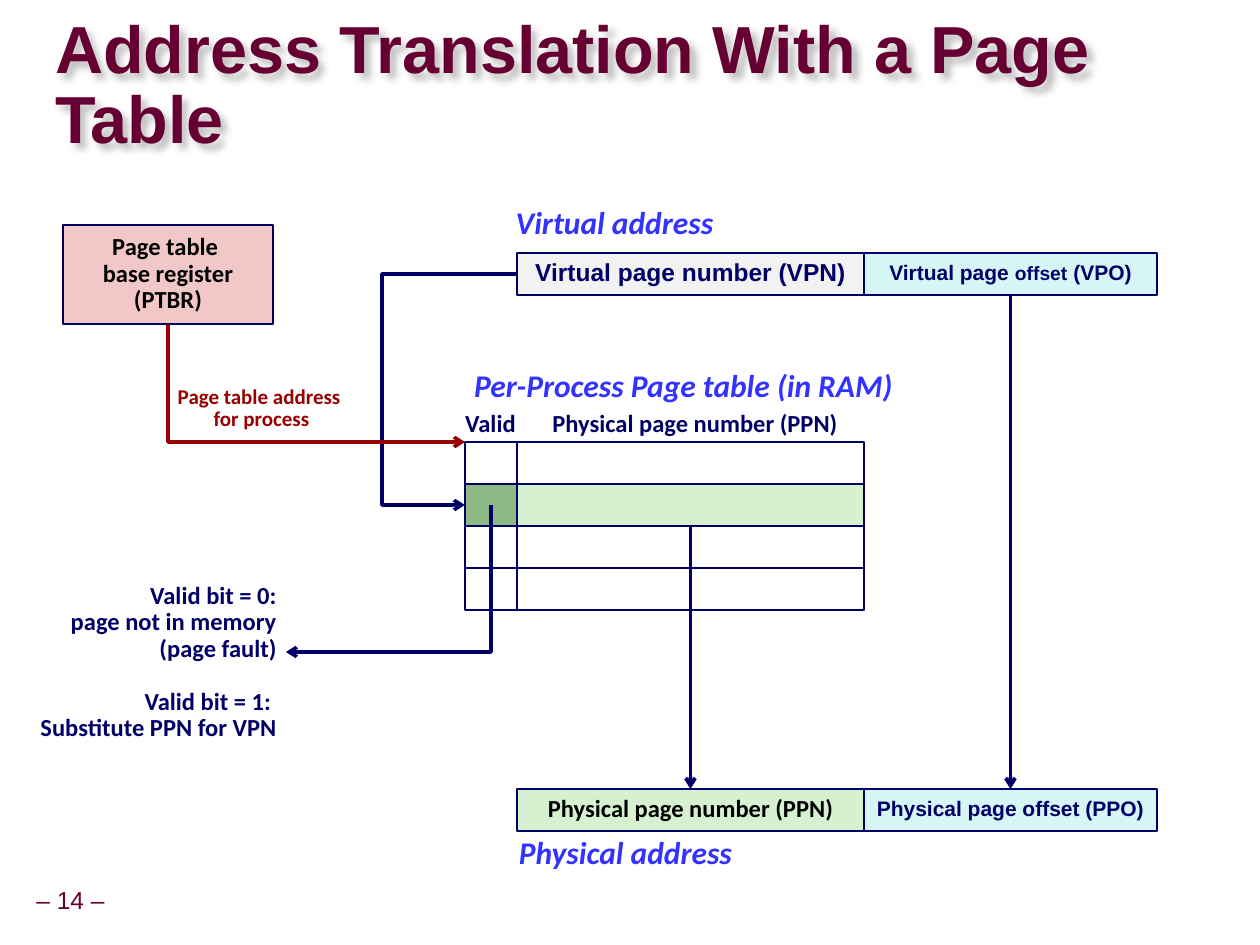
import itertools

import lxml.etree
import pptx
import pptx.dml.color
import pptx.enum.shapes
import pptx.enum.text
import pptx.oxml
import pptx.oxml.ns
import pptx.util

RGB = pptx.dml.color.RGBColor
NAVY = RGB(0x00, 0x00, 0x66)
MAROON = RGB(0x66, 0x00, 0x33)
RED = RGB(0x99, 0x00, 0x00)
BLUE = RGB(0x33, 0x33, 0xFF)
BLACK = RGB(0x00, 0x00, 0x00)
GREY = RGB(0xF2, 0xF2, 0xF2)
CYAN = RGB(0xD6, 0xF5, 0xF5)
GREEN = RGB(0xD5, 0xF1, 0xCF)
DARK_GREEN = RGB(0x8D, 0xBA, 0x84)
PINK = RGB(0xF1, 0xC7, 0xC7)

ALIGN = pptx.enum.text.PP_ALIGN
ANCHOR = pptx.enum.text.MSO_ANCHOR
CONNECTOR = pptx.enum.shapes.MSO_CONNECTOR
qn = pptx.oxml.ns.qn

TOP, BOTTOM = 0, 2
ROW = 42
NUMBER_WIDTH = 347
LINE_BREAK = "\v"


def px(*lengths):
    return [round(length * 914400 / 126) for length in lengths]


def write(shape, text, sizes=(14,), font="Calibri", color=NAVY, bold=True, italic=False,
          align=ALIGN.CENTER, anchor=ANCHOR.TOP, spacing=0.9, wrap=True, inset=None):
    frame = shape.text_frame
    frame.word_wrap = wrap
    frame.vertical_anchor = anchor
    if inset is not None:
        frame.margin_left = frame.margin_right = pptx.util.Inches(inset)
        frame.margin_top = frame.margin_bottom = pptx.util.Inches(inset)
    for index, line in enumerate(text.split("\n")):
        paragraph = frame.add_paragraph() if index else frame.paragraphs[0]
        paragraph.alignment = align
        paragraph.line_spacing = spacing
        for piece, size in zip(line.split("|"), itertools.cycle(sizes)):
            if piece == LINE_BREAK:
                paragraph.add_line_break()
                continue
            run = paragraph.add_run()
            run.text = piece
            run.font.name = font
            run.font.size = pptx.util.Pt(size)
            run.font.bold = bold
            run.font.italic = italic
            run.font.color.rgb = color


def label(slide, left, top, width, height, text, **text_format):
    box = slide.shapes.add_textbox(*px(left, top, width, height))
    write(box, text, **text_format)
    return box


def heading(slide, left, top, width, height, text):
    label(slide, left, top, width, height, text, sizes=(18,), color=BLUE,
          italic=True, wrap=False)


def cell(slide, left, top, width, height, fill=None, text=None, **text_format):
    rect = slide.shapes.add_shape(pptx.enum.shapes.MSO_SHAPE.RECTANGLE,
                                  *px(left, top, width, height))
    rect.shadow.inherit = False
    if fill is None:
        rect.fill.background()
    else:
        rect.fill.solid()
        rect.fill.fore_color.rgb = fill
    rect.line.color.rgb = NAVY
    rect.line.width = pptx.util.Pt(1)
    if text:
        write(rect, text, anchor=ANCHOR.MIDDLE, **text_format)
    return rect


def arrow(slide, kind, start, end, color=NAVY):
    connector = slide.shapes.add_connector(kind, *px(*start, *end))
    connector.line.color.rgb = color
    connector.line.width = pptx.util.Pt(2)
    line = connector.line._get_or_add_ln()
    lxml.etree.SubElement(line, qn("a:tailEnd"), type="arrow")
    lxml.etree.SubElement(connector._element.spPr, qn("a:effectLst"))
    return connector


def elbow(slide, start, end, bend_x, color=NAVY):
    connector = arrow(slide, CONNECTOR.ELBOW, start, end, color)
    bend = round(100000 * (bend_x - start[0]) / (end[0] - start[0]))
    guides = connector._element.spPr.find(qn("a:prstGeom")).get_or_add_avLst()
    lxml.etree.SubElement(guides, qn("a:gd"), name="adj1", fmla=f"val {bend}")


def join_down(slide, upper, lower):
    connector = arrow(slide, CONNECTOR.STRAIGHT, (0, 0), (0, 0))
    connector.begin_connect(upper, BOTTOM)
    connector.end_connect(lower, TOP)


def title(slide, left, top, width, height):
    box = label(slide, left, top, width, height, "Address Translation With a Page Table",
                sizes=(38,), font="Arial", color=MAROON, align=ALIGN.LEFT,
                anchor=ANCHOR.MIDDLE, spacing=0.87, inset=0)
    box._element.spPr.append(pptx.oxml.parse_xml(
        f'<a:effectLst {pptx.oxml.ns.nsdecls("a")}>'
        '<a:outerShdw blurRad="50800" dist="50800" dir="2700000" algn="tl">'
        '<a:srgbClr val="C0C0C0"/></a:outerShdw></a:effectLst>'))


def address(slide, left, top, width, number, offset):
    number_cell = cell(slide, left, top, NUMBER_WIDTH, ROW, **number)
    offset_cell = cell(slide, left + NUMBER_WIDTH, top, width - NUMBER_WIDTH, ROW,
                       fill=CYAN, font="Arial", **offset)
    return number_cell, offset_cell


def page_table(slide, left, top, width, selected):
    valid_width = width - NUMBER_WIDTH
    heading(slide, left - 7, top - 78, 458, 48, "Per-Process Page table (in RAM) ")
    label(slide, left - 13, top - 37, 77, 43, "Valid", wrap=False)
    label(slide, left + 74, top - 37, 312, 43, "Physical page number (PPN)", wrap=False)
    numbers = []
    for row in range(4):
        row_top = top + row * ROW
        chosen = row == selected
        numbers.append(cell(slide, left + valid_width, row_top, NUMBER_WIDTH, ROW,
                            GREEN if chosen else None))
        cell(slide, left, row_top, valid_width, ROW, DARK_GREEN if chosen else None)
    return numbers[selected]


def base_register(slide, left, top, width, height, table_corner):
    cell(slide, left, top, width, height, PINK,
         f"Page table |{LINE_BREAK}|base register\n(PTBR)", color=BLACK)
    middle = left + width // 2
    elbow(slide, (middle, top + height), table_corner, middle, RED)
    label(slide, left + 101, top + 155, 195, 63, "Page table address \nfor process",
          sizes=(12,), color=RED, wrap=False)


def valid_bit_note(slide, left, top, width, height, valid_cell):
    note = label(slide, left, top, width, height,
                 "Valid bit = 0:\npage not in memory\n(page fault)\n"
                 "Valid bit = 1: \nSubstitute PPN for VPN", align=ALIGN.RIGHT)
    note.text_frame.paragraphs[3].space_before = pptx.util.Pt(15)
    elbow(slide, valid_cell, (left + width - 3, top + 75), valid_cell[0])


def main():
    presentation = pptx.Presentation()
    presentation.slide_width = pptx.util.Inches(10)
    presentation.slide_height = pptx.util.Inches(7.5)
    slide = presentation.slides.add_slide(presentation.slide_layouts[6])

    label(slide, 29, 882, 83, 39, "– 14 –", font="Arial", color=MAROON, bold=False,
          anchor=ANCHOR.MIDDLE, wrap=False, inset=0.05)
    title(slide, 55, 34, 1201, 107)

    heading(slide, 503, 201, 223, 50, "Virtual address")
    _, virtual_offset = address(
        slide, 517, 253, 640,
        dict(fill=GREY, text="Virtual page number (VPN)", font="Arial"),
        dict(text="Virtual page |offset| (VPO)", sizes=(12, 11)))
    elbow(slide, (517, 274), (465, 505), 382)

    physical_number, physical_offset = address(
        slide, 517, 789, 640,
        dict(fill=GREEN, text="Physical page number (PPN)", color=BLACK),
        dict(text="Physical page offset (PPO)", sizes=(12,)))
    heading(slide, 505, 831, 241, 50, "Physical address")

    selected_number = page_table(slide, 465, 442, 399, selected=1)
    join_down(slide, virtual_offset, physical_offset)
    join_down(slide, selected_number, physical_number)

    base_register(slide, 63, 225, 210, 99, (465, 442))
    valid_bit_note(slide, 21, 577, 268, 200, (491, 505))
    presentation.save("out.pptx")


if __name__ == "__main__":
    main()
